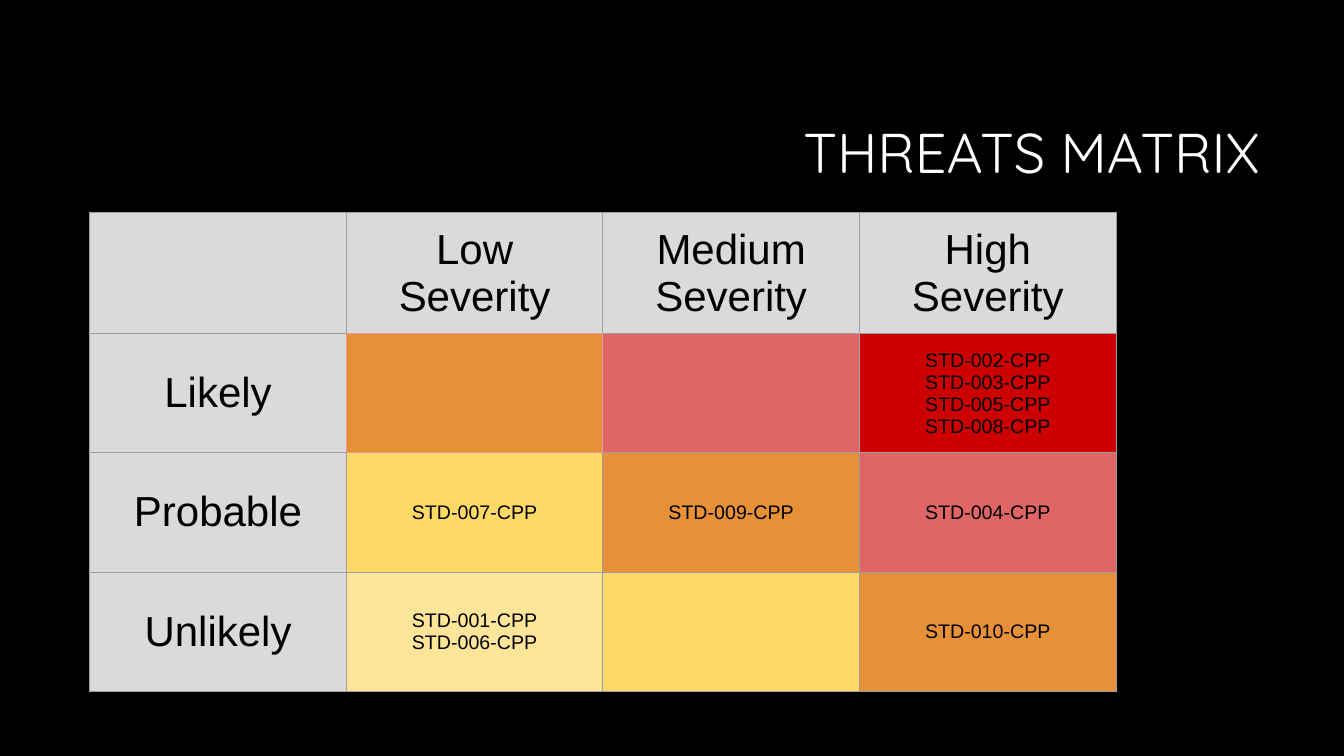
import pptx
import pptx.util
import pptx.dml.color
import pptx.enum.text
import pptx.oxml
import pptx.oxml.ns

RGB = pptx.dml.color.RGBColor
BLACK = RGB(0x00, 0x00, 0x00)
WHITE = RGB(0xFF, 0xFF, 0xFF)
GRAY = RGB(0xDA, 0xDA, 0xDA)
CREAM = RGB(0xFF, 0xE5, 0x99)
YELLOW = RGB(0xFF, 0xD9, 0x66)
ORANGE = RGB(0xE6, 0x91, 0x38)
ROSE = RGB(0xE0, 0x66, 0x66)
RED = RGB(0xCC, 0x00, 0x00)
EDGE = RGB(0x9E, 0x9E, 0x9E)
PINK = RGB(0xEA, 0x99, 0x99)

ALIGN = pptx.enum.text.PP_ALIGN
MIDDLE = pptx.enum.text.MSO_ANCHOR.MIDDLE
INCH = pptx.util.Inches

# Risk grows by one step for each row up and each column right.
RISK = [CREAM, YELLOW, ORANGE, ROSE, RED]
HEADS = ["", "Low\nSeverity", "Medium Severity", "High Severity"]
ROWS = [
    ["Likely", "", "", "STD-002-CPP\nSTD-003-CPP\nSTD-005-CPP\nSTD-008-CPP"],
    ["Probable", "STD-007-CPP", "STD-009-CPP", "STD-004-CPP"],
    ["Unlikely", "STD-001-CPP\nSTD-006-CPP", "", "STD-010-CPP"],
]
# Edges that touch the Likely / Low Severity cell.
ACCENT = {(1, 1): "LRTB", (0, 1): "B", (1, 0): "R", (2, 1): "T", (1, 2): "L"}

TITLE = {"name": "Quicksand", "size": pptx.util.Pt(40)}
LABEL = {"name": "Arial", "size": pptx.util.Pt(30)}
CODE = {"name": "Arial", "size": pptx.util.Pt(14)}


def style(item, form):
    for key, value in form.items():
        setattr(item, key, value)


def write(frame, text, font, color, para):
    """Fill a text frame, one paragraph for each line."""
    frame.text = text
    for line in frame.paragraphs:
        style(line, para)
        style(line.font, font)
        line.font.color.rgb = color


def border(cell, side, color):
    props = cell._tc.get_or_add_tcPr()
    props.append(pptx.oxml.parse_xml(
        f'<a:ln{side} {pptx.oxml.ns.nsdecls("a")} w="9525"><a:solidFill>'
        f'<a:srgbClr val="{color}"/></a:solidFill></a:ln{side}>'))


def title(slide, box, text):
    frame = slide.shapes.add_textbox(*box).text_frame
    style(frame, {"word_wrap": True, "vertical_anchor": MIDDLE})
    write(frame, text, TITLE, WHITE,
          {"alignment": ALIGN.RIGHT, "line_spacing": 0.9})


def matrix(slide, box):
    data = [HEADS] + ROWS
    last = len(data) - 1
    grid = slide.shapes.add_table(len(data), len(HEADS), *box).table
    style(grid, {"first_row": False, "horz_banding": False})
    pad = {"margin_" + side: INCH(0.1)
           for side in ("left", "right", "top", "bottom")}
    for r, row in enumerate(data):
        for c, text in enumerate(row):
            cell = grid.cell(r, c)
            head = r == 0 or c == 0
            for side in "LRTB":
                pink = side in ACCENT.get((r, c), "")
                border(cell, side, PINK if pink else EDGE)
            cell.fill.solid()
            cell.fill.fore_color.rgb = GRAY if head else RISK[last - r + c - 1]
            style(cell, {**pad, "vertical_anchor": MIDDLE})
            write(cell.text_frame, text, LABEL if head else CODE, BLACK,
                  {"alignment": ALIGN.CENTER})


def main():
    deck = pptx.Presentation()
    style(deck, {"slide_width": INCH(13.33), "slide_height": INCH(7.5)})
    slide = deck.slides.add_slide(deck.slide_layouts[6])
    slide.background.fill.solid()
    slide.background.fill.fore_color.rgb = BLACK
    title(slide, map(INCH, (3.17, 0.84, 9.42, 1.41)), "THREATS MATRIX")
    matrix(slide, map(INCH, (0.89, 2.11, 10.18, 4.73)))
    deck.save("out.pptx")


if __name__ == "__main__":
    main()
